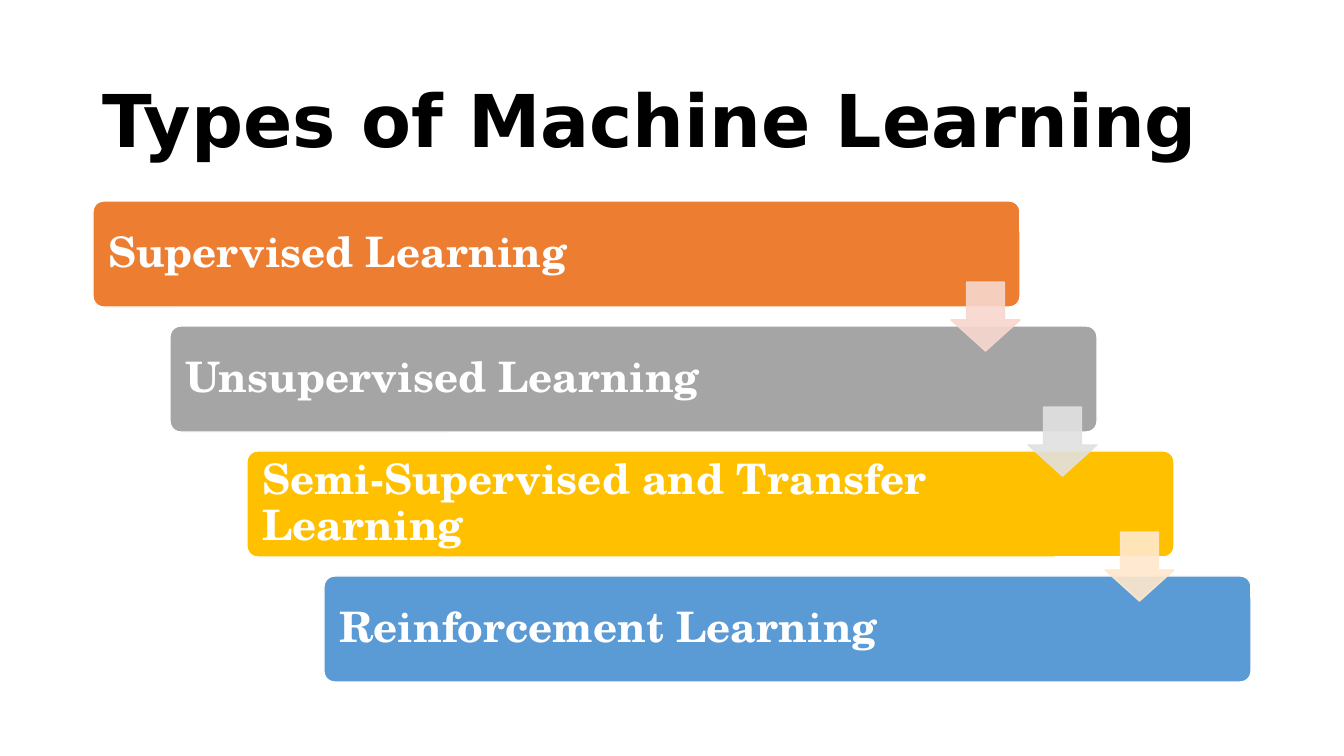
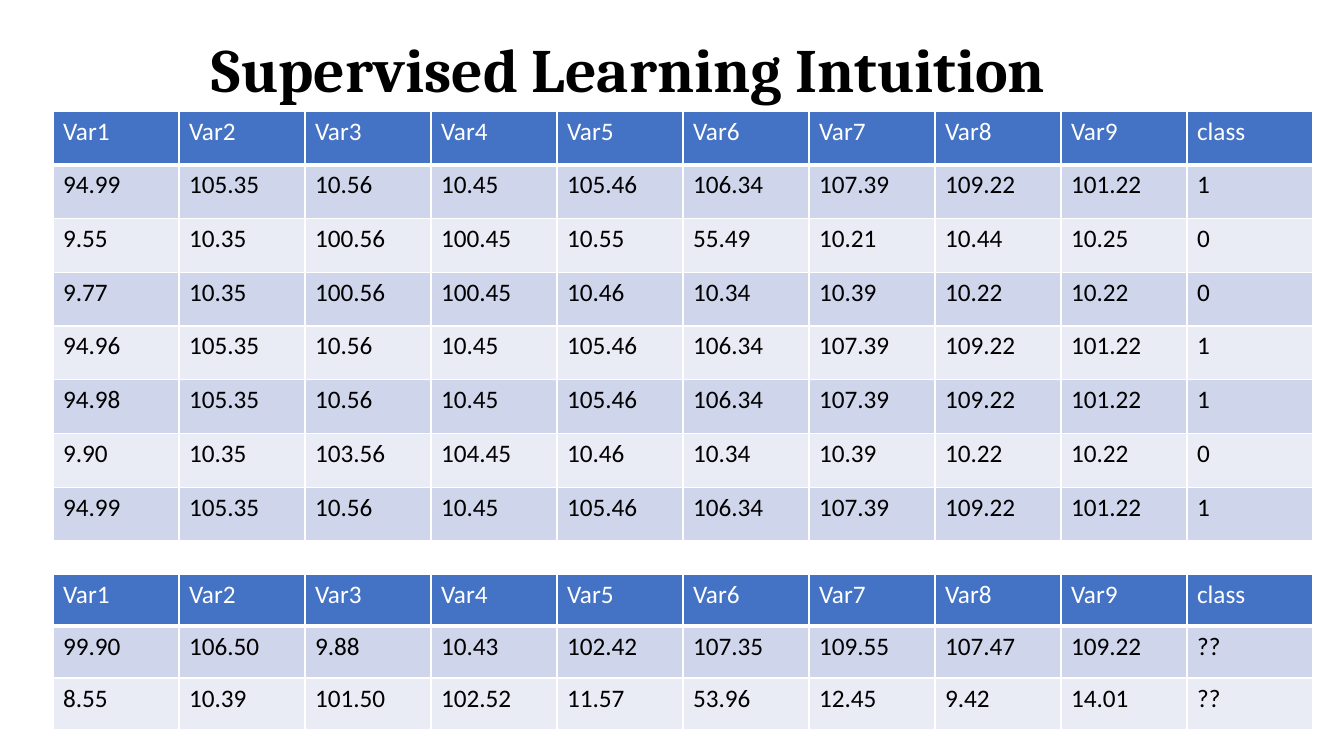
from dataclasses import dataclass

from lxml.etree import SubElement
from pptx import Presentation
from pptx.dml.color import RGBColor
from pptx.enum.shapes import MSO_SHAPE
from pptx.enum.text import MSO_ANCHOR, PP_ALIGN
from pptx.oxml.ns import qn
from pptx.slide import Slide
from pptx.util import Emu, Pt

SCALE = 914400 / 100.8


def px(count: float) -> Emu:
    return Emu(round(count * SCALE))


@dataclass(frozen=True)
class Theme:
    black: str = "000000"
    white: str = "FFFFFF"
    head: str = "4472C4"
    bands: tuple[str, ...] = ("CFD5EA", "E9EBF5")
    rule: int = 1
    thick: int = 3
    bar_font: str = "TeX Gyre Schola"
    bar_size: int = 30
    cell_font: str = "Calibri"
    cell_size: int = 18


@dataclass(frozen=True)
class Box:
    left: int
    top: int
    width: int
    height: int

    def emu(self) -> tuple[Emu, ...]:
        return tuple(map(px, (self.left, self.top, self.width, self.height)))


@dataclass(frozen=True)
class Title:
    text: str
    box: Box
    font: str
    size: int
    anchor: MSO_ANCHOR
    spacing: float


@dataclass(frozen=True)
class Step:
    text: str
    fill: str
    arrow: str | None = None


@dataclass(frozen=True)
class Grid:
    box: Box
    rows: tuple[str, ...]


THEME = Theme()
STEPS = (
    Step("Supervised Learning", "ED7D31", "F8D7CE"),
    Step("Unsupervised Learning", "A5A5A5", "E1E1E1"),
    Step("Semi-Supervised and Transfer Learning", "FFC000", "FFE8CC"),
    Step("Reinforcement Learning", "5B9BD5"),
)
BAR = Box(93, 201, 927, 106)
SHIFT, DROP = 77, 125
ARROW, LOWER = 69, 81

HEAD = "Var1 Var2 Var3 Var4 Var5 Var6 Var7 Var8 Var9 class"
GRIDS = (
    Grid(Box(53, 111, 1260, 430), (
        HEAD,
        "94.99 105.35 10.56 10.45 105.46 106.34 107.39 109.22 101.22 1",
        "9.55 10.35 100.56 100.45 10.55 55.49 10.21 10.44 10.25 0",
        "9.77 10.35 100.56 100.45 10.46 10.34 10.39 10.22 10.22 0",
        "94.96 105.35 10.56 10.45 105.46 106.34 107.39 109.22 101.22 1",
        "94.98 105.35 10.56 10.45 105.46 106.34 107.39 109.22 101.22 1",
        "9.90 10.35 103.56 104.45 10.46 10.34 10.39 10.22 10.22 0",
        "94.99 105.35 10.56 10.45 105.46 106.34 107.39 109.22 101.22 1",
    )),
    Grid(Box(53, 574, 1260, 156), (
        HEAD,
        "99.90 106.50 9.88 10.43 102.42 107.35 109.55 107.47 109.22 ??",
        "8.55 10.39 101.50 102.52 11.57 53.96 12.45 9.42 14.01 ??",
    )),
)
TYPES = Title("Types of Machine Learning", Box(93, 61, 1159, 125),
              "DejaVu Sans", 52, MSO_ANCHOR.MIDDLE, 0.9)
INTUIT = Title("Supervised Learning Intuition", Box(202, 26, 989, 85),
               "Cambria", 44, MSO_ANCHOR.TOP, 1.0)


def style(para, font: str, size: int, color: str, bold: bool) -> None:
    para.font.name = font
    para.font.size = Pt(size)
    para.font.bold = bold
    para.font.color.rgb = RGBColor.from_string(color)


def add_title(slide: Slide, title: Title) -> None:
    frame = slide.shapes.add_textbox(*title.box.emu()).text_frame
    frame.word_wrap = True
    frame.vertical_anchor = title.anchor
    para = frame.paragraphs[0]
    para.text = title.text
    para.line_spacing = title.spacing
    style(para, title.font, title.size, THEME.black, True)


def add_form(slide: Slide, kind: MSO_SHAPE, box: Box, fill: str, line: str):
    form = slide.shapes.add_shape(kind, *box.emu())
    form.shadow.inherit = False
    form.fill.solid()
    form.fill.fore_color.rgb = RGBColor.from_string(fill)
    form.line.color.rgb = RGBColor.from_string(line)
    form.line.width = Pt(THEME.rule)
    return form


def add_bar(slide: Slide, step: Step, box: Box) -> None:
    bar = add_form(slide, MSO_SHAPE.ROUNDED_RECTANGLE, box, step.fill, THEME.white)
    bar.adjustments[0] = 0.1
    frame = bar.text_frame
    frame.word_wrap = True
    frame.vertical_anchor = MSO_ANCHOR.MIDDLE
    frame.margin_left = frame.margin_top = frame.margin_bottom = px(12)
    frame.margin_right = px(157)
    para = frame.paragraphs[0]
    para.text = step.text
    para.alignment = PP_ALIGN.LEFT
    para.line_spacing = 0.9
    style(para, THEME.bar_font, THEME.bar_size, THEME.white, True)


def add_arrow(slide: Slide, color: str, bar: Box) -> None:
    """Draw a translucent arrow flush with the right end of its bar."""
    box = Box(bar.left + bar.width - ARROW, bar.top + LOWER, ARROW, ARROW)
    arrow = add_form(slide, MSO_SHAPE.DOWN_ARROW, box, color, color)
    arrow.adjustments[0] = 0.55
    arrow.adjustments[1] = 0.45
    for tint in arrow.element.spPr.iter(qn("a:srgbClr")):
        SubElement(tint, qn("a:alpha"), val="90000")


def add_steps(slide: Slide) -> None:
    boxes = [Box(BAR.left + i * SHIFT, BAR.top + i * DROP, BAR.width, BAR.height)
             for i in range(len(STEPS))]
    for step, box in zip(STEPS, boxes):
        add_bar(slide, step, box)
    for step, box in zip(STEPS, boxes):
        if step.arrow:
            add_arrow(slide, step.arrow, box)


def add_rules(cell, base: int) -> None:
    """Give a cell white borders, with its own width at the base."""
    props = cell._tc.get_or_add_tcPr()
    for side, width in zip("LRTB", (THEME.rule,) * 3 + (base,)):
        line = SubElement(props, qn(f"a:ln{side}"), w=str(Pt(width)))
        fill = SubElement(line, qn("a:solidFill"))
        SubElement(fill, qn("a:srgbClr"), val=THEME.white)


def add_grid(slide: Slide, grid: Grid) -> None:
    rows = [row.split() for row in grid.rows]
    table = slide.shapes.add_table(len(rows), len(rows[0]), *grid.box.emu()).table
    for r, row in enumerate(rows):
        top = r == 0
        fill = THEME.head if top else THEME.bands[(r - 1) % 2]
        for c, text in enumerate(row):
            cell = table.cell(r, c)
            add_rules(cell, THEME.thick if top else THEME.rule)
            cell.fill.solid()
            cell.fill.fore_color.rgb = RGBColor.from_string(fill)
            cell.text = text
            style(cell.text_frame.paragraphs[0], THEME.cell_font, THEME.cell_size,
                  THEME.white if top else THEME.black, False)


def main() -> None:
    deck = Presentation()
    deck.slide_width, deck.slide_height = px(1344), px(756)
    blank = deck.slide_layouts[6]

    slide = deck.slides.add_slide(blank)
    add_title(slide, TYPES)
    add_steps(slide)

    slide = deck.slides.add_slide(blank)
    for grid in GRIDS:
        add_grid(slide, grid)
    add_title(slide, INTUIT)

    deck.save("out.pptx")


if __name__ == "__main__":
    main()
